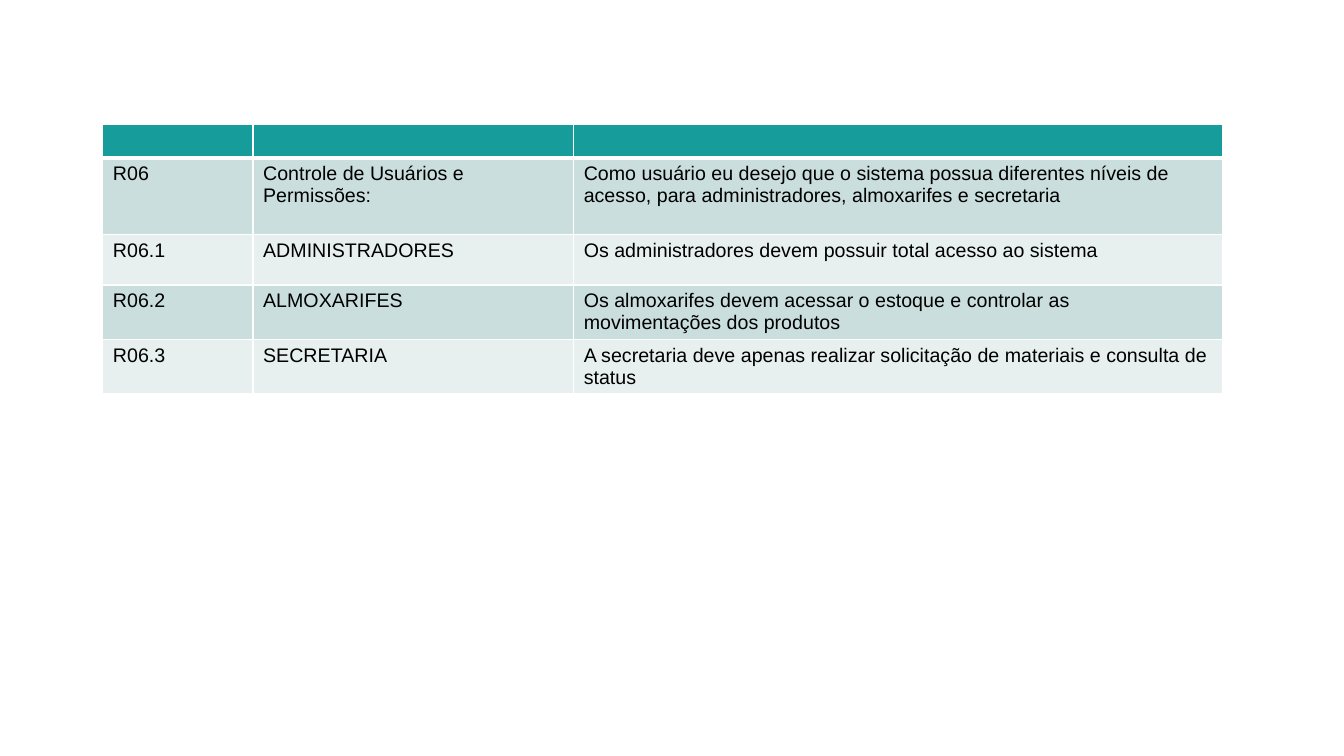
import pptx
import pptx.util
import pptx.dml.color
import pptx.oxml.ns
from lxml import etree

RGBColor = pptx.dml.color.RGBColor
WHITE = RGBColor(0xFF, 0xFF, 0xFF)
BLACK = RGBColor(0x00, 0x00, 0x00)
TEAL = RGBColor(0x16, 0x9C, 0x9A)
BANDS = (RGBColor(0xCA, 0xDE, 0xDD), RGBColor(0xE7, 0xEF, 0xEF))

FONT_NAME = "Arial"
FONT_SIZE = pptx.util.Pt(14)
COLUMN_WIDTHS = (1.49, 3.18, 6.44)
ROW_HEIGHTS = (0.32, 0.76, 0.5, 0.54, 0.54)
REQUIREMENTS = (
    ("", "", ""),
    ("R06", "Controle de Usuários e Permissões:",
     "Como usuário eu desejo que o sistema possua diferentes níveis de acesso, "
     "para administradores, almoxarifes e secretaria"),
    ("R06.1", "ADMINISTRADORES",
     "Os administradores devem possuir total acesso ao sistema"),
    ("R06.2", "ALMOXARIFES",
     "Os almoxarifes devem acessar o estoque e controlar as movimentações dos produtos"),
    ("R06.3", "SECRETARIA",
     "A secretaria deve apenas realizar solicitação de materiais e consulta de status"),
)


def add_border(cell, side, points):
    """Draw one white edge of a cell."""
    qn = pptx.oxml.ns.qn
    properties = cell._tc.get_or_add_tcPr()
    line = etree.SubElement(properties, qn(f"a:ln{side}"), w=str(pptx.util.Pt(points)))
    fill = etree.SubElement(line, qn("a:solidFill"))
    etree.SubElement(fill, qn("a:srgbClr"), val=str(WHITE))


def format_cell(cell, text, row):
    # Borders come before the fill; the header has a thick lower edge
    for side in "LRTB":
        thick = (row == 0 and side == "B") or (row == 1 and side == "T")
        add_border(cell, side, 3 if thick else 1)
    cell.fill.solid()
    cell.fill.fore_color.rgb = TEAL if row == 0 else BANDS[(row - 1) % 2]

    # Text, or the line size of an empty cell
    cell.text_frame.text = text
    paragraph = cell.text_frame.paragraphs[0]
    for run in paragraph.runs:
        run.font.name = FONT_NAME
        run.font.size = FONT_SIZE
        run.font.color.rgb = BLACK
    if not text:
        etree.SubElement(paragraph._p, pptx.oxml.ns.qn("a:endParaRPr"),
                         sz=str(int(FONT_SIZE.pt * 100)))


def add_requirements_table(slide, left, top):
    inches = pptx.util.Inches
    shape = slide.shapes.add_table(
        len(ROW_HEIGHTS), len(COLUMN_WIDTHS), inches(left), inches(top),
        inches(sum(COLUMN_WIDTHS)), inches(sum(ROW_HEIGHTS)))
    table = shape.table
    for column, width in zip(table.columns, COLUMN_WIDTHS):
        column.width = inches(width)
    for index, (row, height) in enumerate(zip(table.rows, ROW_HEIGHTS)):
        row.height = inches(height)
        for cell, text in zip(row.cells, REQUIREMENTS[index]):
            format_cell(cell, text, index)


def main():
    presentation = pptx.Presentation()
    presentation.slide_width = pptx.util.Inches(13.33)
    presentation.slide_height = pptx.util.Inches(7.5)
    slide = presentation.slides.add_slide(presentation.slide_layouts[6])
    add_requirements_table(slide, 1.02, 1.23)
    presentation.save("out.pptx")


if __name__ == "__main__":
    main()
